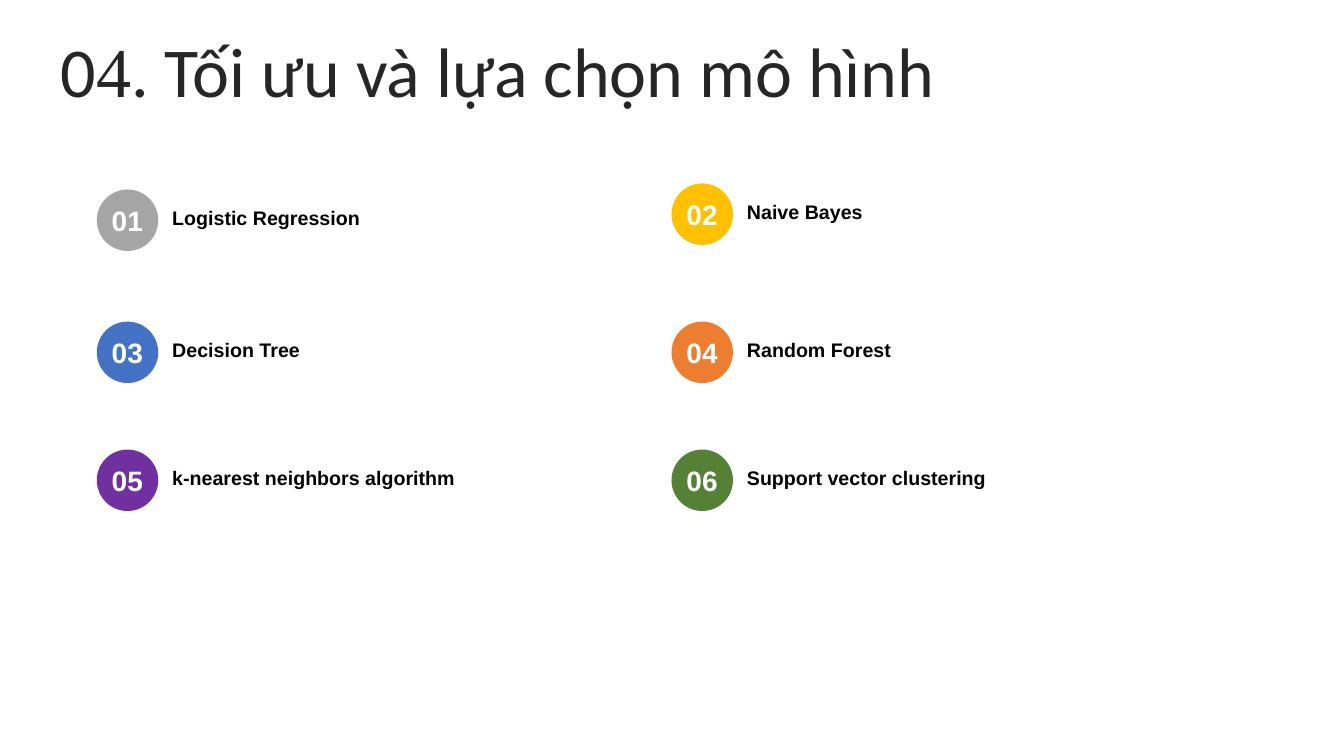
import pptx
import pptx.dml.color
import pptx.enum.shapes
import pptx.enum.text
import pptx.util
from pptx.util import Inches

MODELS = [
    ("Logistic Regression", "A5A5A5", 0.96, 1.88),
    ("Naive Bayes", "FFC000", 6.66, 1.82),
    ("Decision Tree", "4472C4", 0.96, 3.19),
    ("Random Forest", "ED7D31", 6.66, 3.19),
    ("k-nearest neighbors algorithm", "7030A0", 0.96, 4.46),
    ("Support vector clustering", "548135", 6.66, 4.46),
]


def color(code):
    """Turn a hex string into a colour."""
    return pptx.dml.color.RGBColor.from_string(code)


def write(para, text, size=14, font="Arial", fill="000000", bold=False):
    """Add a formatted run to a paragraph."""
    run = para.add_run()
    run.text = text
    run.font.size = pptx.util.Pt(size)
    run.font.name = font
    run.font.bold = bold
    run.font.color.rgb = color(fill)


def add_label(slide, text, left, top, width, height, **style):
    """Add a text box that holds one bold line."""
    box = slide.shapes.add_textbox(
        Inches(left), Inches(top), Inches(width), Inches(height))
    frame = box.text_frame
    frame.word_wrap = True
    frame.auto_size = pptx.enum.text.MSO_AUTO_SIZE.SHAPE_TO_FIT_TEXT
    write(frame.paragraphs[0], text, bold=True, **style)


def add_disc(slide, left, top, fill):
    """Add a plain filled circle."""
    disc = slide.shapes.add_shape(
        pptx.enum.shapes.MSO_SHAPE.OVAL,
        Inches(left), Inches(top), Inches(0.61), Inches(0.61))
    disc.shadow.inherit = False
    disc.fill.solid()
    disc.fill.fore_color.rgb = color(fill)
    disc.line.fill.background()


def add_model(slide, number, name, fill, left, top):
    """Add a numbered circle with the model name beside it."""
    add_disc(slide, left, top, fill)
    add_label(slide, f"{number:02}", left + 0.05, top + 0.09, 0.51, 0.44,
              size=20, fill="FFFFFF")
    add_label(slide, name, left + 0.65, top + 0.11, 4.15, 0.34)


def set_title(slide):
    """Place the title and write its runs."""
    title = slide.shapes.title
    title.left, title.top = Inches(0.35), Inches(0.37)
    title.width, title.height = Inches(9.18), Inches(0.79)
    frame = title.text_frame
    frame.word_wrap = True
    frame.auto_size = pptx.enum.text.MSO_AUTO_SIZE.NONE
    frame.vertical_anchor = pptx.enum.text.MSO_ANCHOR.MIDDLE
    para = frame.paragraphs[0]
    para.alignment = pptx.enum.text.PP_ALIGN.CENTER
    para.line_spacing = 0.8
    para.space_before = pptx.util.Pt(0)
    for text, font in [("0", "Calibri"), ("4", "Times New Roman"),
                       (". Tối ưu và lựa chọn mô hình", "Calibri")]:
        write(para, text, size=50, font=font, fill="262626")


def main():
    """Build the slide and save it."""
    deck = pptx.Presentation()
    deck.slide_width, deck.slide_height = Inches(13.33), Inches(7.5)
    slide = deck.slides.add_slide(deck.slide_layouts[5])
    set_title(slide)
    for number, model in enumerate(MODELS, 1):
        add_model(slide, number, *model)
    deck.save("out.pptx")


if __name__ == "__main__":
    main()
